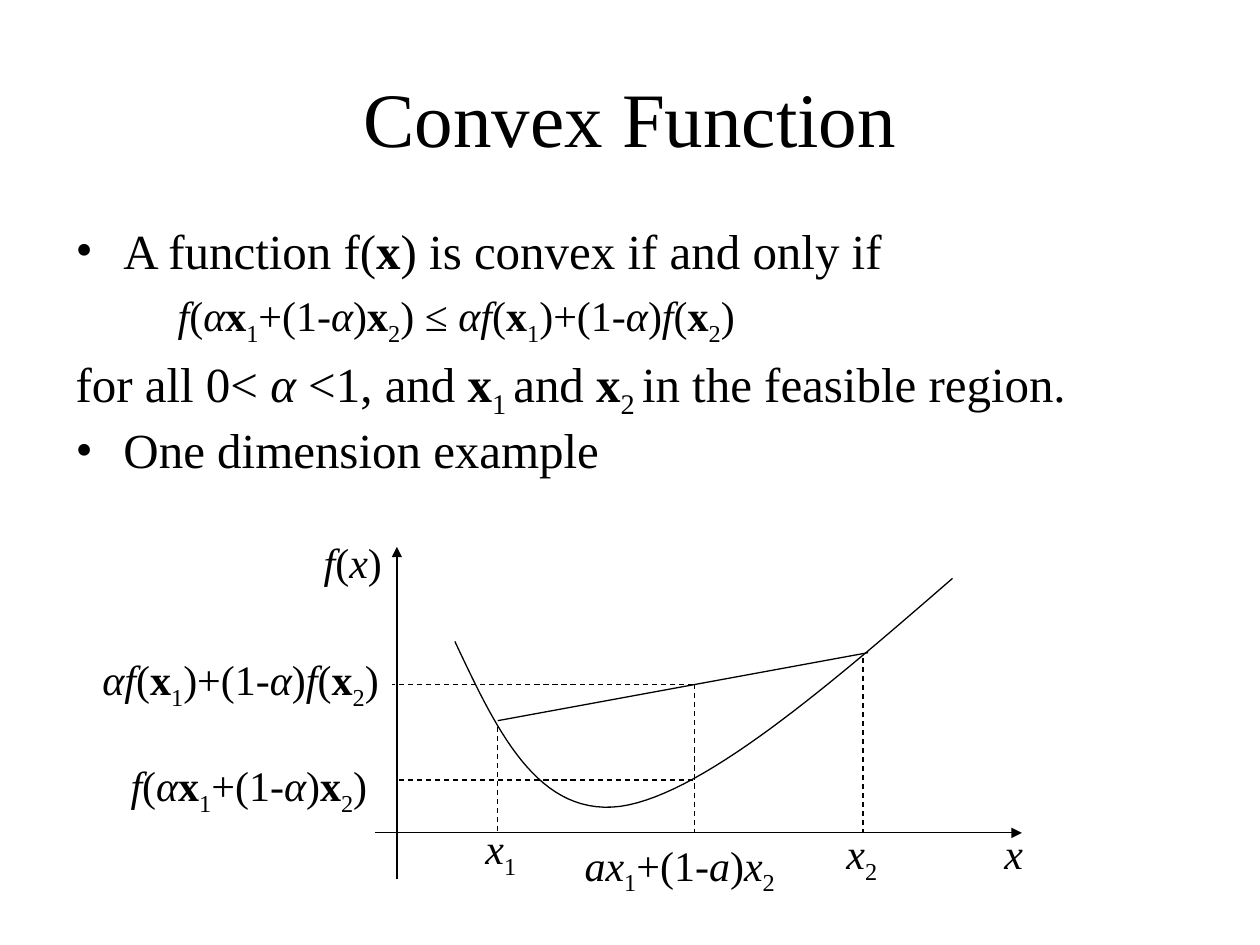
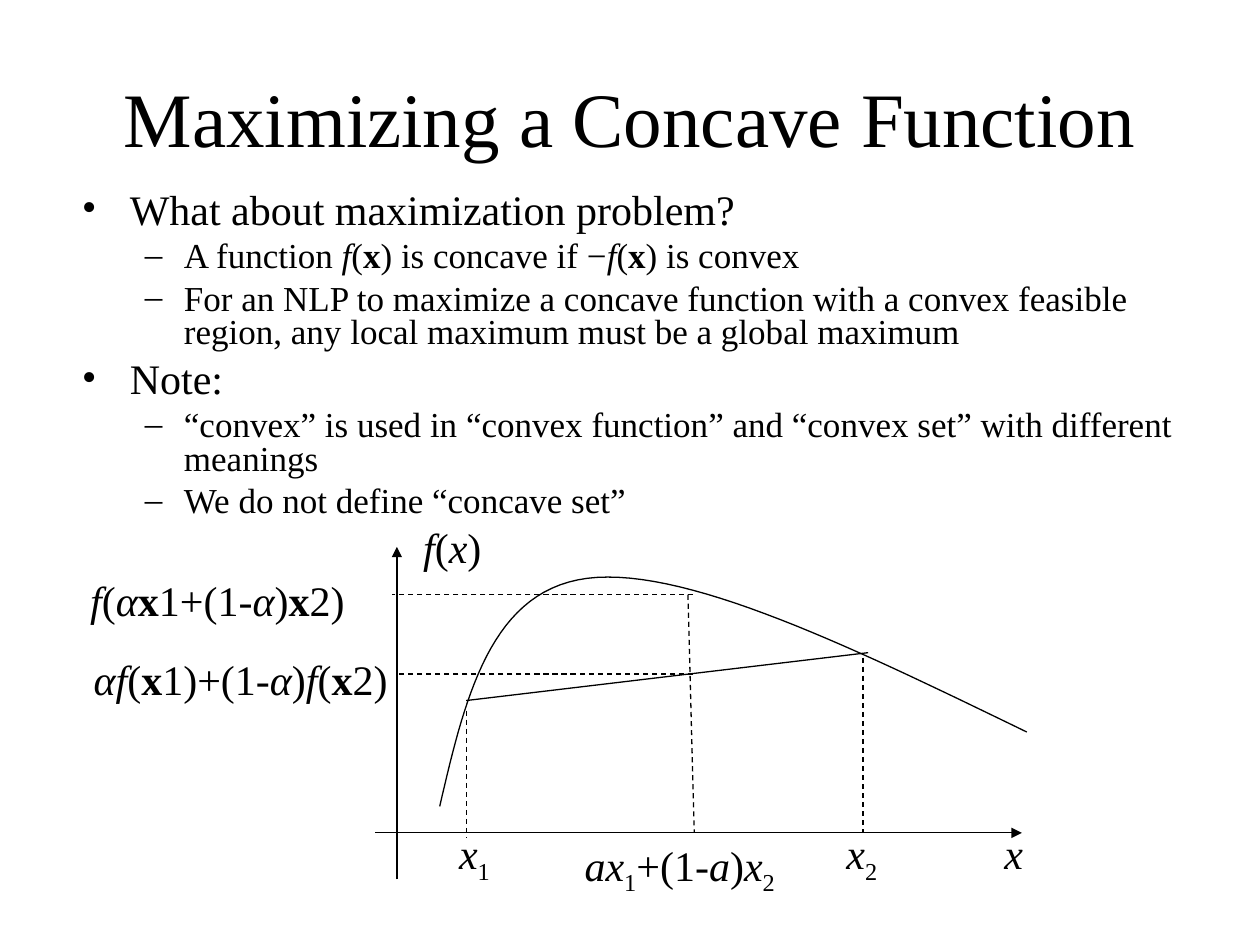
from pptx import Presentation
from pptx.dml.color import RGBColor
from pptx.enum import dml, text
from pptx.oxml.ns import qn
from pptx.util import Inches, Pt
from lxml import etree

BLACK = RGBColor(0, 0, 0)
WHITE = RGBColor(255, 255, 255)
FONT = "Times New Roman"
MARKS = {"*": "bold", "/": "italic", "_": "sub"}
INDENT = [(0.38, -0.38), (0.81, -0.31)]
STEPS = 30

POINT = "/f/(/α/*x*_1_+(1-/α/)*x*_2_)"
MEAN = "/αf/(*x*_1_)+(1-/α/)/f/(*x*_2_)"


def write(para, words, size=24, align=None, before=None, line=None):
    para.alignment = align
    if line:
        para.line_spacing = line
    if before is not None:
        para.space_before = Pt(before)
    state = dict.fromkeys(MARKS.values(), False)
    chunk = ""
    for char in words + "\0":
        if char not in MARKS and char != "\0":
            chunk += char
            continue
        if chunk:
            run = para.add_run()
            run.text = chunk
            font = run.font
            font.name, font.size = FONT, Pt(size)
            font.color.rgb = BLACK
            font.bold, font.italic = state["bold"], state["italic"]
            if state["sub"]:
                run._r.get_or_add_rPr().set("baseline", "-25000")
            chunk = ""
        if char in MARKS:
            state[MARKS[char]] = not state[MARKS[char]]


def mark(para, level, sign):
    left, hang = INDENT[level]
    props = para._p.get_or_add_pPr()
    props.set("marL", str(Inches(left)))
    props.set("indent", str(Inches(hang if sign or level == 0 else 0)))
    if sign:
        etree.SubElement(props, qn("a:buFont")).set("typeface", FONT)
        etree.SubElement(props, qn("a:buChar")).set("char", sign)
    else:
        etree.SubElement(props, qn("a:buNone"))


def place(shape, box):
    shape.left, shape.top, shape.width, shape.height = map(Inches, box)


def head(slide, words):
    title = slide.shapes.title
    place(title, (0.5, 0.3, 9, 1.25))
    title.text_frame.vertical_anchor = text.MSO_ANCHOR.MIDDLE
    title.text_frame.auto_size = text.MSO_AUTO_SIZE.NONE
    write(title.text_frame.paragraphs[0], words, size=44, align=text.PP_ALIGN.CENTER)


def points(slide, box, items, sizes, gaps, line):
    body = slide.placeholders[1]
    place(body, box)
    frame = body.text_frame
    frame.auto_size = text.MSO_AUTO_SIZE.NONE
    frame.vertical_anchor = text.MSO_ANCHOR.TOP
    for num, (level, sign, words) in enumerate(items):
        para = frame.add_paragraph() if num else frame.paragraphs[0]
        para.level = level
        write(para, words, size=sizes[level], before=gaps[level], line=line)
        mark(para, level, sign)


def bezier(start, first, second, end):
    for step in range(1, STEPS + 1):
        t = step / STEPS
        s = 1 - t
        yield tuple(s**3 * a + 3 * s * s * t * b + 3 * s * t * t * c + t**3 * d
                    for a, b, c, d in zip(start, first, second, end))


class Plot:
    def __init__(self, slide, left, top):
        self.left, self.top = left, top
        self.shapes = slide.shapes.add_group_shape().shapes

    def spot(self, x, y):
        return Inches(self.left + x), Inches(self.top + y)

    def line(self, start, end, dash=False, arrow=False):
        link = self.shapes.add_connector(1, *self.spot(*start), *self.spot(*end))
        link.line.color.rgb = BLACK
        link.line.width = Pt(0.75)
        if dash:
            link.line.dash_style = dml.MSO_LINE.DASH
        if arrow:
            etree.SubElement(link.line._get_or_add_ln(), qn("a:tailEnd")).set("type", "triangle")
        etree.SubElement(link._element.spPr, qn("a:effectLst"))

    def curve(self, knots):
        build = self.shapes.build_freeform(*self.spot(*knots[0]))
        trace = [dot for n in (0, 3) for dot in bezier(*knots[n:n + 4])]
        build.add_line_segments([self.spot(*dot) for dot in trace], close=False)
        shape = build.convert_to_shape()
        shape.shadow.inherit = False
        shape.fill.background()
        shape.line.color.rgb = BLACK
        shape.line.width = Pt(0.75)

    def label(self, words, x, y, width, height=0.56):
        box = self.shapes.add_textbox(*self.spot(x, y), Inches(width), Inches(height))
        frame = box.text_frame
        frame.word_wrap = True
        frame.auto_size = text.MSO_AUTO_SIZE.SHAPE_TO_FIT_TEXT
        write(frame.paragraphs[0], words, align=text.PP_ALIGN.CENTER, before=15)


def graph(slide, left, top, knots, chord, drops, levels, labels):
    plot = Plot(slide, left, top)
    base = 2.61
    plot.line((2.48, base), (7.61, base), arrow=True)
    plot.line((2.65, 2.98), (2.65, 0.34), arrow=True)
    plot.curve(knots)
    plot.line(chord, (6.39, 1.18))
    for start, end in drops + [((6.35, 1.22), (6.35, base))]:
        plot.line(start, end, dash=True)
    for y, end in zip(levels, (2.65, 2.61)):
        plot.line((5, y), (end, y), dash=True)
    shared = [("/x/", 7.27, 2.52, 0.55, 0.5), ("/x/_2_", 6.07, 2.52, 0.54),
              ("/ax/_1_+(1-/a/)/x/_2_", 3.95, 2.61, 1.89)]
    for label in shared + labels:
        plot.label(*label)


def convex(slide):
    head(slide, "Convex Function")
    points(slide, (0.5, 1.75, 9, 2.13), [
        (0, "•", "A function f(*x*) is convex if and only if"),
        (1, "", POINT + " ≤ " + MEAN),
        (0, "", "for all 0< /α/ <1, and *x*_1 _and* x*_2 _in the feasible region."),
        (0, "•", "One dimension example"),
    ], sizes=(28, 24), gaps=(7, 6), line=0.9)
    graph(slide, 0.5, 4,
          knots=[(3.11, 1.09), (3.44, 1.79), (3.76, 2.48), (4.42, 2.4),
                 (5.07, 2.31), (6.07, 1.45), (7.06, 0.59)],
          chord=(3.45, 1.72),
          drops=[((3.45, 1.77), (3.45, 2.61)), ((5.01, 1.43), (5.01, 2.61))],
          levels=(2.19, 1.43),
          labels=[("/f/(/x/)", 1.9, 0.21, 0.8, 0.5), ("/x/_1_", 3.2, 2.48, 0.55),
                  (POINT, 0.3, 1.98, 2.35), (MEAN, 0.13, 1.14, 2.56)])


def concave(slide):
    head(slide, "Maximizing a Concave Function")
    points(slide, (0.55, 1.48, 9, 2.81), [
        (0, "•", "What about maximization problem?"),
        (1, "–", "A function /f/(*x*) is concave if −/f/(*x*) is convex"),
        (1, "–", "For an NLP to maximize a concave function with a convex feasible "
                 "region, any local maximum must be a global maximum"),
        (0, "•", "Note:"),
        (1, "–", "“convex” is used in “convex function” and “convex set” "
                 "with different meanings"),
        (1, "–", "We do not define “concave set”"),
    ], sizes=(24, 20), gaps=(6, 5), line=0.8)
    graph(slide, 0.5, 4,
          knots=[(2.99, 2.4), (3.19, 1.54), (3.39, 0.69), (4.16, 0.59),
                 (4.94, 0.49), (6.29, 1.15), (7.65, 1.81)],
          chord=(3.2, 1.56),
          drops=[((3.2, 1.64), (3.2, 2.65)), ((4.96, 0.72), (5.01, 2.61))],
          levels=(1.35, 0.72),
          labels=[("/f/(/x/)", 2.69, 0.09, 0.8, 0.5), ("/x/_1_", 2.99, 2.52, 0.55),
                  (POINT.replace("_", ""), 0.05, 0.51, 2.35, 0.5),
                  (MEAN.replace("_", ""), 0.13, 1.14, 2.56, 0.5)])


def main():
    deck = Presentation()
    deck.slide_width, deck.slide_height = Inches(10), Inches(7.5)
    fill = deck.slide_master.background.fill
    fill.solid()
    fill.fore_color.rgb = WHITE
    for draw in (convex, concave):
        draw(deck.slides.add_slide(deck.slide_layouts[1]))
    deck.save("out.pptx")


if __name__ == "__main__":
    main()
